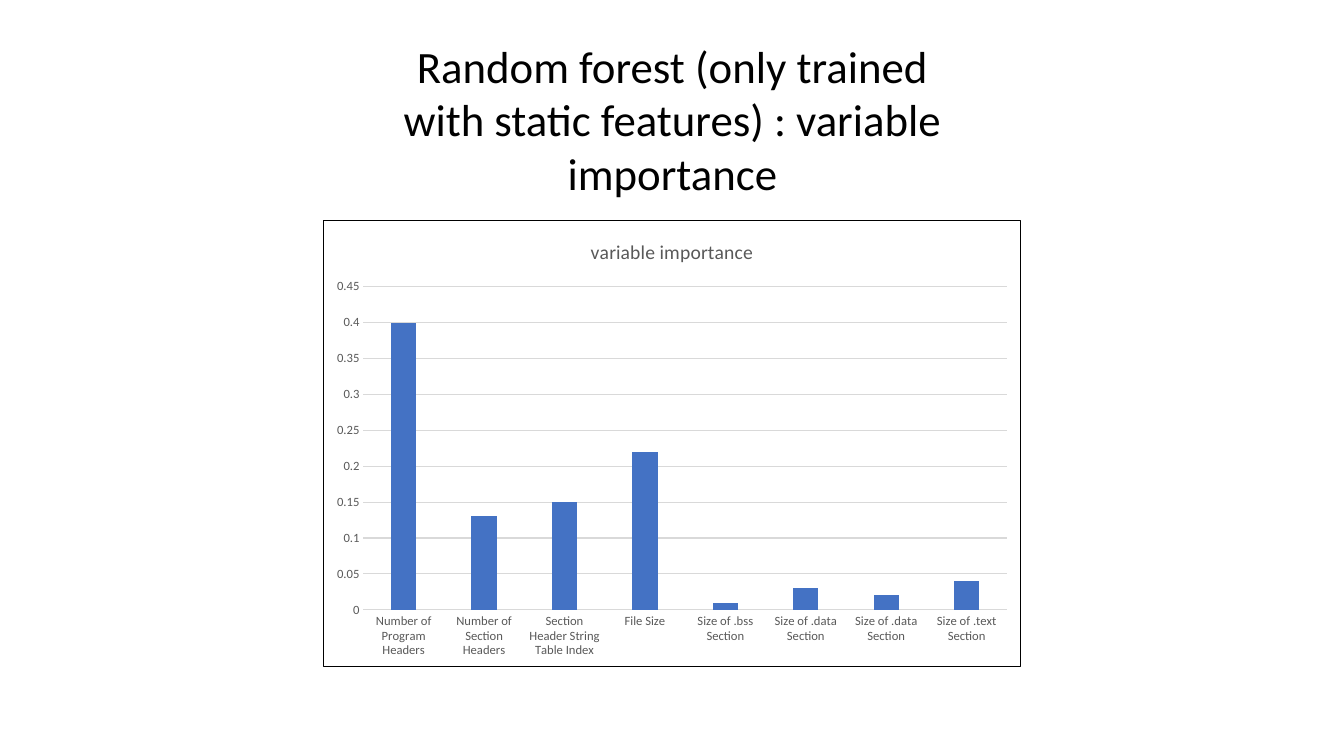
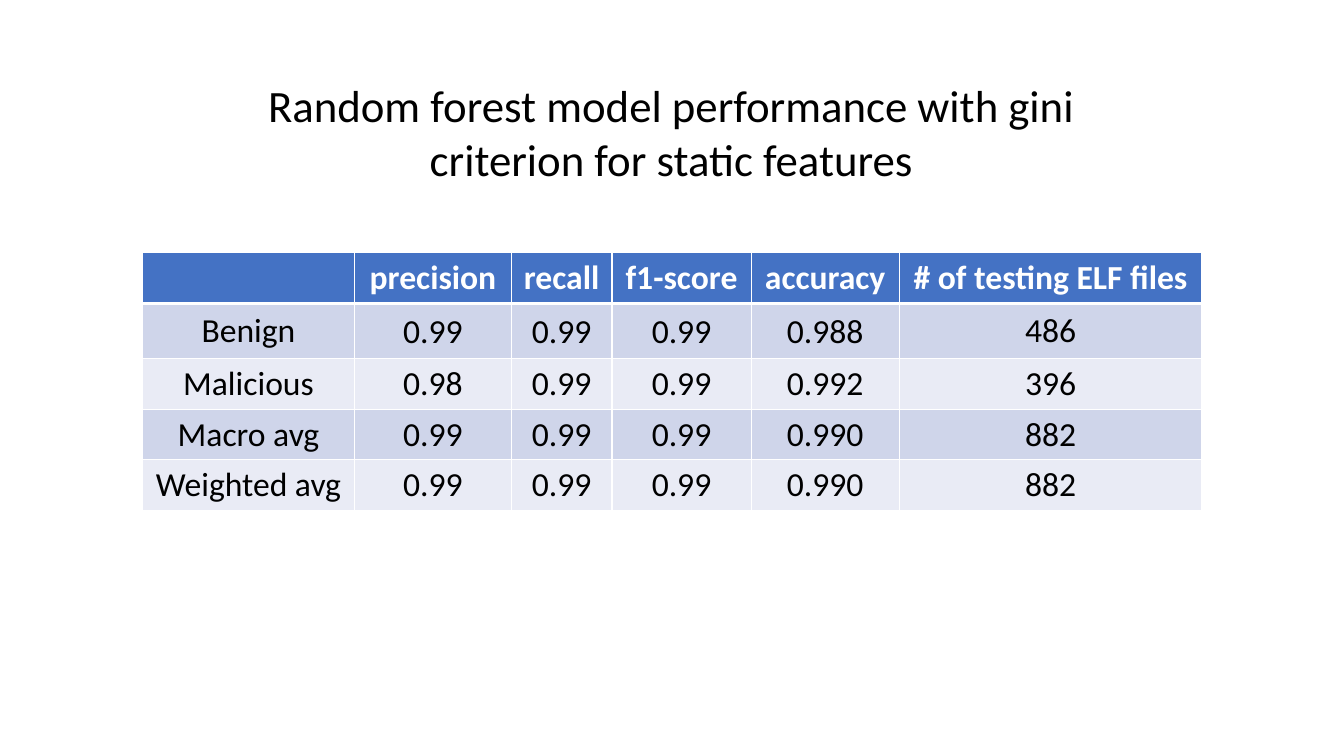
from lxml import etree
from pptx import Presentation
from pptx.chart.data import CategoryChartData
from pptx.dml.color import RGBColor
from pptx.enum import chart as chart_enum, text
from pptx.oxml import parse_xml
from pptx.oxml.ns import nsdecls, qn
from pptx.util import Inches, Pt

FONT = "Calibri"
COLOURS = {
    name: RGBColor.from_string(value)
    for name, value in {
        "black": "000000",
        "white": "FFFFFF",
        "blue": "4472C4",
        "band_dark": "CFD5EA",
        "band_light": "E9EBF5",
        "grey": "595959",
        "grid": "D9D9D9",
    }.items()
}


def style_font(font, size, colour, bold=False):
    font.name = FONT
    font.size = Pt(size)
    font.bold = bold
    font.color.rgb = COLOURS[colour]


def add_titled_slide(deck, title, left, top, width, height):
    page = deck.slides.add_slide(deck.slide_layouts[6])
    box = page.shapes.add_textbox(Inches(left), Inches(top), Inches(width), Inches(height))
    box.text_frame.word_wrap = True
    para = box.text_frame.paragraphs[0]
    para.text = title
    para.alignment = text.PP_ALIGN.CENTER
    style_font(para.font, 32, "black")
    return page


deck = Presentation()
deck.slide_width = Inches(13.33)
deck.slide_height = Inches(7.5)

# Variable importance chart
page = add_titled_slide(
    deck,
    "Random forest (only trained with static features) : variable importance",
    3.86, 0.33, 5.62, 1.72,
)
importance = {
    "categories": [
        "Number of Program Headers", "Number of Section Headers",
        "Section Header String Table Index", "File Size", "Size of .bss Section",
        "Size of .data Section", "Size of .data Section", "Size of .text Section",
    ],
    "values": [0.4, 0.13, 0.15, 0.22, 0.01, 0.03, 0.02, 0.04],
}
data = CategoryChartData()
data.categories = importance["categories"]
data.add_series("Series 1", importance["values"])
chart = page.shapes.add_chart(
    chart_enum.XL_CHART_TYPE.COLUMN_CLUSTERED,
    Inches(3.2), Inches(2.18), Inches(6.93), Inches(4.44), data,
).chart
style_font(chart.font, 10, "black")
chart.has_legend = False
chart.has_title = True
chart.chart_title.include_in_layout = False
title_para = chart.chart_title.text_frame.paragraphs[0]
title_para.text = "variable importance"
style_font(title_para.font, 14, "grey")

plot = chart.plots[0]
plot.gap_width = 219
plot.overlap = -27
plot.vary_by_categories = False
bars = plot.series[0].format.fill
bars.solid()
bars.fore_color.rgb = COLOURS["blue"]

for axis in (chart.category_axis, chart.value_axis):
    axis.major_tick_mark = chart_enum.XL_TICK_MARK.NONE
    axis.minor_tick_mark = chart_enum.XL_TICK_MARK.NONE
    style_font(axis.tick_labels.font, 9, "grey")
chart.value_axis.minimum_scale = 0
chart.value_axis.maximum_scale = 0.45
chart.value_axis.major_unit = 0.05
chart.value_axis.format.line.fill.background()
for line in (chart.category_axis.format.line, chart.value_axis.major_gridlines.format.line):
    line.color.rgb = COLOURS["grid"]
    line.width = Pt(0.75)

chart_frame = parse_xml(
    f'<c:spPr {nsdecls("c", "a")}><a:noFill/><a:ln w="{Pt(0.75)}"><a:solidFill>'
    f'<a:srgbClr val="{COLOURS["black"]}"/></a:solidFill></a:ln></c:spPr>'
)
chart.element.find(qn("c:chart")).addnext(chart_frame)

# Model performance table
page = add_titled_slide(
    deck,
    "Random forest model performance with gini criterion for static features",
    2.33, 0.72, 8.66, 1.18,
)
rows = [
    ["", "precision", "recall", "f1-score", "accuracy", "# of testing ELF files"],
    ["Benign", "0.99", "0.99", "0.99", "0.988", "486"],
    ["Malicious", "0.98", "0.99", "0.99", "0.992", "396"],
    ["Macro avg", "0.99", "0.99", "0.99", "0.990", "882"],
    ["Weighted avg", "0.99", "0.99", "0.99", "0.990", "882"],
]
column_widths = [2.11, 1.55, 1, 1.38, 1.47, 3]
row_heights = [0.51, 0.55, 0.41, 0.41, 0.41]
table = page.shapes.add_table(
    len(rows), len(column_widths), Inches(1.41), Inches(2.5),
    Inches(sum(column_widths)), Inches(sum(row_heights)),
).table
for column, width in zip(table.columns, column_widths):
    column.width = Inches(width)
for row, height in zip(table.rows, row_heights):
    row.height = Inches(height)

for r, row in enumerate(rows):
    is_header = r == 0
    fill = "blue" if is_header else "band_dark" if r % 2 else "band_light"
    for c, value in enumerate(row):
        cell = table.cell(r, c)
        cell.vertical_anchor = text.MSO_ANCHOR.MIDDLE
        if not is_header and 0 < c < len(row) - 1:
            cell.margin_left = cell.margin_top = cell.margin_right = Inches(0.01)
            cell.margin_bottom = 0

        properties = cell._tc.get_or_add_tcPr()
        for side in "LRTB":
            heavy = (is_header and side == "B") or (r == 1 and side == "T")
            border = etree.SubElement(properties, qn(f"a:ln{side}"), w=str(Pt(3 if heavy else 1)))
            paint = etree.SubElement(border, qn("a:solidFill"))
            etree.SubElement(paint, qn("a:srgbClr"), val=str(COLOURS["white"]))
        cell.fill.solid()
        cell.fill.fore_color.rgb = COLOURS[fill]

        para = cell.text_frame.paragraphs[0]
        para.text = value
        para.alignment = text.PP_ALIGN.CENTER
        style_font(para.font, 24, "white" if is_header else "black", is_header)

deck.save("out.pptx")
